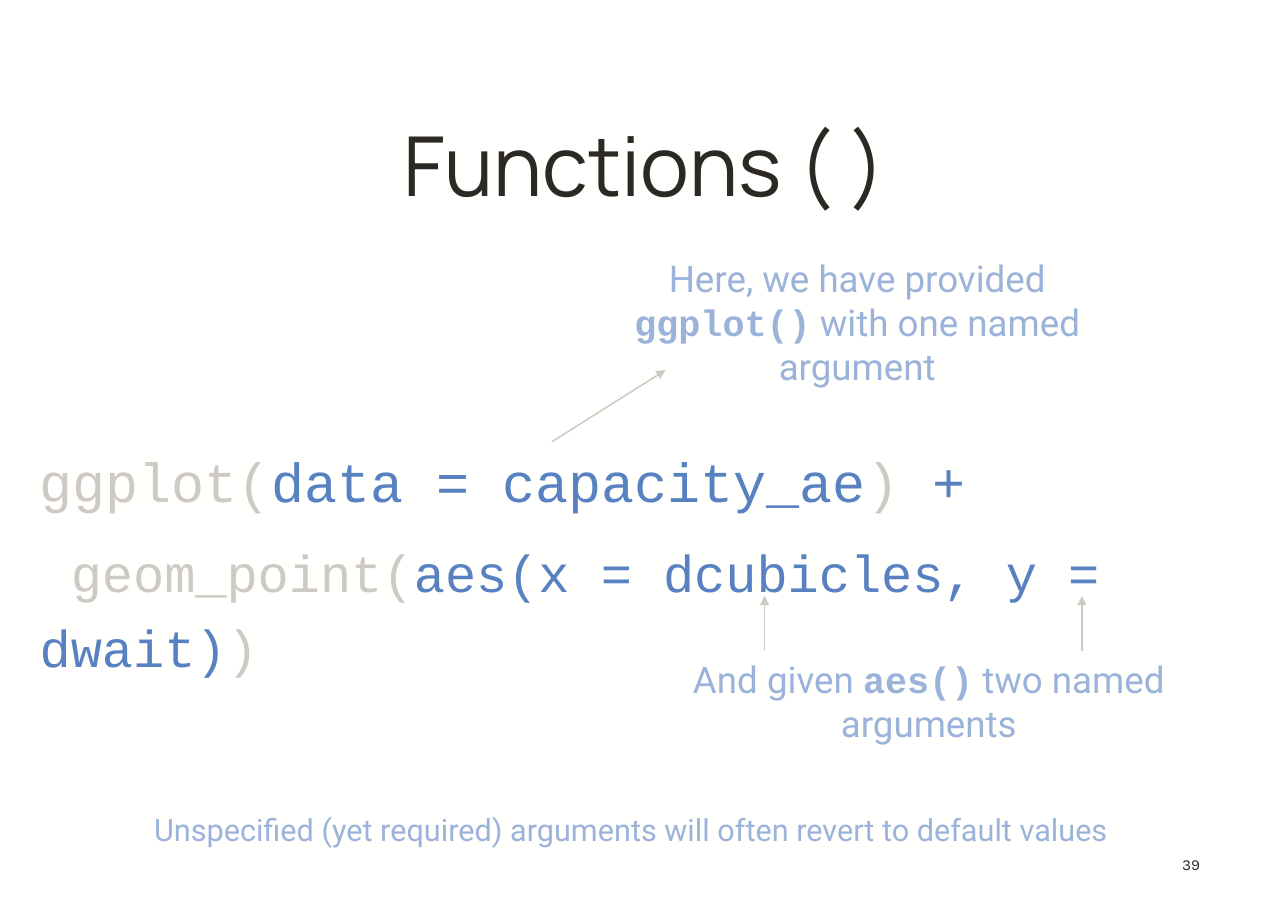
from lxml import etree
from pptx import Presentation
from pptx.dml.color import RGBColor
from pptx.enum.shapes import MSO_CONNECTOR
from pptx.enum.text import MSO_ANCHOR, PP_ALIGN
from pptx.oxml.ns import qn
from pptx.util import Inches, Pt

INK, GREY, BLUE, PALE = "2C2825", "CEC9C5", "5881C1", "9BB3DA"
CODE_FONT, NOTE_FONT = "Courier New", "Roboto"


def color(value):
    """Turn a hex string into a colour."""
    return RGBColor.from_string(value)


def style(font, name, size, value):
    """Set family, size and colour of a font."""
    font.name, font.size = name, Pt(size)
    font.color.rgb = color(value)


def set_frame(shape, inset_x, inset_y, anchor=MSO_ANCHOR.TOP):
    """Set wrapping, insets and anchor, and return the text frame."""
    frame = shape.text_frame
    frame.word_wrap, frame.vertical_anchor = True, anchor
    frame.margin_left = frame.margin_right = Inches(inset_x)
    frame.margin_top = frame.margin_bottom = Inches(inset_y)
    return frame


def add_box(page, left, top, width, height, inset_x=0.1, inset_y=0.05):
    """Add a text box and return its text frame."""
    place = map(Inches, (left, top, width, height))
    return set_frame(page.shapes.add_textbox(*place), inset_x, inset_y)


def add_title(page, text):
    """Fill, place and format the title placeholder."""
    title = page.shapes.title
    title.left, title.top = Inches(0.73), Inches(1.22)
    title.width, title.height = Inches(10.24), Inches(0.79)
    frame = set_frame(title, 0.08, 0.08, MSO_ANCHOR.BOTTOM)
    para = frame.paragraphs[0]
    para.text, para.alignment = text, PP_ALIGN.CENTER
    style(para.font, "Manrope", 54, INK)


def add_note(page, place, size, before, code="", after=""):
    """Add a centred note with an optional bold code word."""
    para = add_box(page, *place).paragraphs[0]
    para.alignment = PP_ALIGN.CENTER
    style(para.font, NOTE_FONT, size, PALE)
    for text in filter(None, (before, code, after)):
        span = para.add_run()
        span.text = text
        if text == code:
            span.font.name, span.font.bold = CODE_FONT, True


def add_code(page, place, lines):
    """Add code lines, each a size and its coloured spans."""
    frame = add_box(page, *place, inset_x=0.08, inset_y=0.08)
    for index, (size, spans) in enumerate(lines):
        para = frame.add_paragraph() if index else frame.paragraphs[0]
        para.line_spacing, para.space_after = 1.2, Pt(10)
        para.font.name, para.font.size = CODE_FONT, Pt(size)
        for text, value in spans:
            span = para.add_run()
            span.text = text
            span.font.color.rgb = color(value)


def add_arrow(page, start, end):
    """Add a thin grey arrow."""
    points = map(Inches, start + end)
    arrow = page.shapes.add_connector(MSO_CONNECTOR.STRAIGHT, *points)
    arrow.line.color.rgb, arrow.line.width = color(GREY), Pt(1)
    etree.SubElement(arrow.line._get_or_add_ln(), qn("a:tailEnd"), type="triangle")
    etree.SubElement(arrow._element.spPr, qn("a:effectLst"))


def add_page_number(page, number):
    """Add the page number at the lower right."""
    para = add_box(page, 10.18, 7.68, 0.79, 0.4, 0.08, 0.08).paragraphs[0]
    para.text, para.alignment = number, PP_ALIGN.RIGHT
    style(para.font, "Karla", 10, INK)


def main():
    """Build and save the slide."""
    deck = Presentation()
    deck.slide_width, deck.slide_height = Inches(11.69), Inches(8.27)
    page = deck.slides.add_slide(deck.slide_layouts[5])
    page.background.fill.solid()
    page.background.fill.fore_color.rgb = color("FFFFFE")

    add_title(page, "Functions ( )")
    add_code(page, (0.28, 3.86, 11.18, 2.5), [
        (36, [("ggplot(", GREY), ("data = capacity_ae", BLUE), (")", GREY), (" +", BLUE)]),
        (34, [(" geom_point(", GREY), ("aes(x = dcubicles, y = dwait)", BLUE), (")", GREY)]),
    ])
    add_note(page, (5.52, 2.27, 4.52, 1.31), 24,
             "Here, we have provided ", "ggplot()", " with one named argument")
    add_note(page, (6.17, 5.91, 4.52, 0.91), 24, "And given ", "aes()", " two named arguments")
    add_note(page, (0.28, 7.31, 10.9, 0.44), 20,
             "Unspecified (yet required) arguments will often revert to default values")
    add_arrow(page, (5.01, 4.01), (6.04, 3.36))
    for left in (6.94, 9.82):
        add_arrow(page, (left, 5.91), (left, 5.41))
    add_page_number(page, "39")
    deck.save("out.pptx")


if __name__ == "__main__":
    main()
